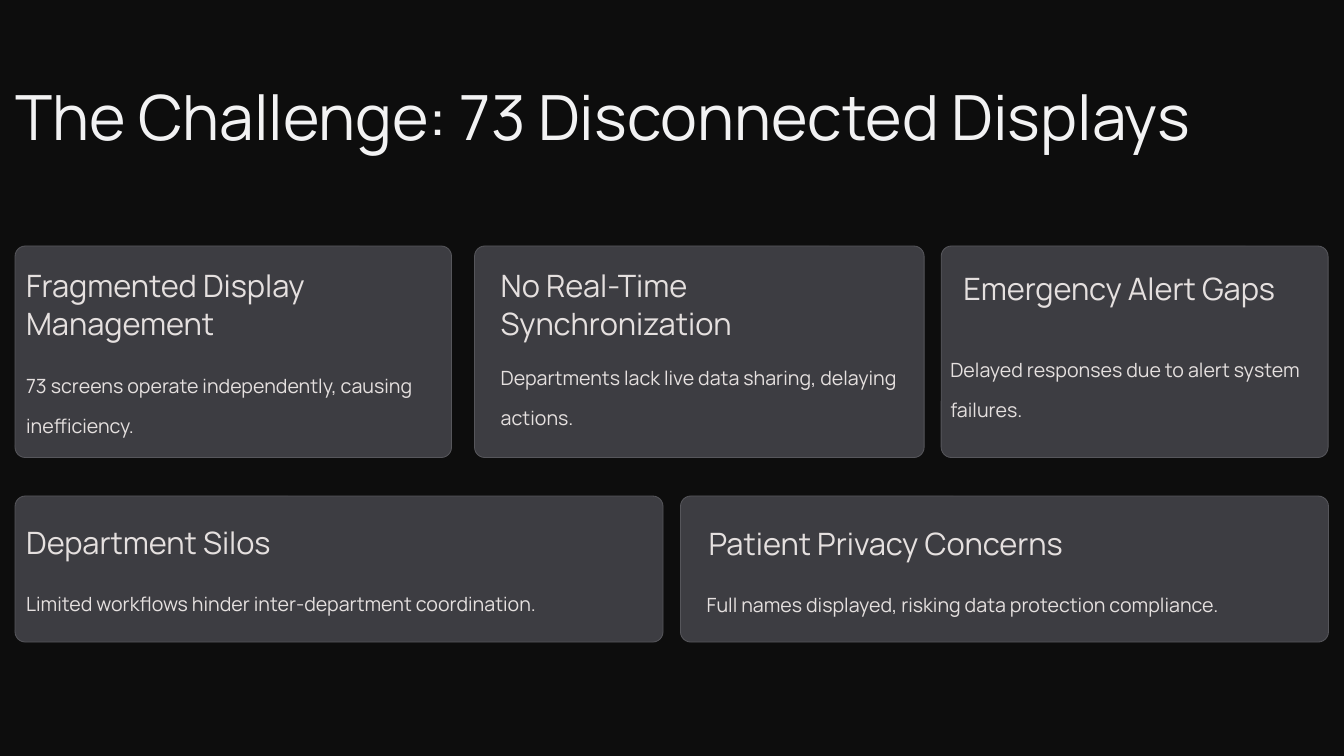
from pptx import Presentation
from pptx.dml.color import RGBColor
from pptx.enum.shapes import MSO_SHAPE
from pptx.util import Cm, Pt

ROUNDED = MSO_SHAPE.ROUNDED_RECTANGLE
COLORS = {"background": "0D0D0D", "title": "F2F2F3", "text": "E5E0DF",
          "card": "3D3D42", "border": "56565B"}
FONT = "Manrope"
CORNER = 0.26
LEFT = 0.38
TOP_ROW = (6.2, 5.33)
BOTTOM_ROW = (12.5, 3.68)

CARDS = [
    (LEFT, 11, TOP_ROW,
     "Fragmented Display Management", (0.28, 0.48, 10.36, 1.98),
     "73 screens operate independently, causing inefficiency.", (0.28, 2.82, 10.36, 2)),
    (11.96, 11.33, TOP_ROW,
     "No Real-Time Synchronization", (0.66, 0.48, 10.36, 1.98),
     "Departments lack live data sharing, delaying actions.", (0.66, 2.62, 10.36, 2)),
    (23.72, 9.75, TOP_ROW,
     "Emergency Alert Gaps", (0.56, 0.56, 8.66, 0.99),
     "Delayed responses due to alert system failures.", (0.23, 2.41, 10.36, 2)),
    (LEFT, 16.33, BOTTOM_ROW,
     "Department Silos", (0.28, 0.66, 7.87, 0.99),
     "Limited workflows hinder inter-department coordination.", (0.28, 2.01, 16.51, 1.02)),
    (17.15, 16.33, BOTTOM_ROW,
     "Patient Privacy Concerns", (0.71, 0.69, 9.68, 0.99),
     "Full names displayed, risking data protection compliance.", (0.66, 2.03, 14.12, 1.45)),
]


def rgb(name):
    return RGBColor.from_string(COLORS[name])


def add_text(s, text, x, y, w, h, size, leading, color="text", wrap=False):
    tf = s.shapes.add_textbox(Cm(x), Cm(y), Cm(w), Cm(h)).text_frame
    tf.margin_left = tf.margin_right = tf.margin_top = tf.margin_bottom = 0
    tf.word_wrap = wrap
    p = tf.paragraphs[0]
    p.line_spacing = Pt(leading)
    r = p.add_run()
    r.text = text
    r.font.name = FONT
    r.font.size = Pt(size)
    r.font.color.rgb = rgb(color)


def add_title(s, x, y, w, h):
    add_text(s, "The Challenge: 73 Disconnected Displays", x, y, w, h,
             size=44.5, leading=55.5, color="title")


def add_card(s, x, y, w, h, heading, heading_box, body, body_box):
    sp = s.shapes.add_shape(ROUNDED, Cm(x), Cm(y), Cm(w), Cm(h))
    sp.adjustments[0] = CORNER / h
    sp.shadow.inherit = False
    sp.fill.solid()
    sp.fill.fore_color.rgb = rgb("card")
    sp.line.color.rgb = rgb("border")
    sp.line.width = Pt(0.6)
    for text, box, size, leading in ((heading, heading_box, 22, 27.5),
                                     (body, body_box, 14, 28.5)):
        dx, dy, bw, bh = box
        add_text(s, text, x + dx, y + dy, bw, bh, size=size, leading=leading,
                 wrap=bh > 1.5)


def main():
    prs = Presentation()
    prs.slide_width, prs.slide_height = Cm(33.87), Cm(19.05)
    s = prs.slides.add_slide(prs.slide_layouts[6])
    s.background.fill.solid()
    s.background.fill.fore_color.rgb = rgb("background")
    add_title(s, LEFT, 1.9, 31.8, 1.98)
    for x, w, (y, h), *content in CARDS:
        add_card(s, x, y, w, h, *content)
    prs.save("out.pptx")


if __name__ == "__main__":
    main()
